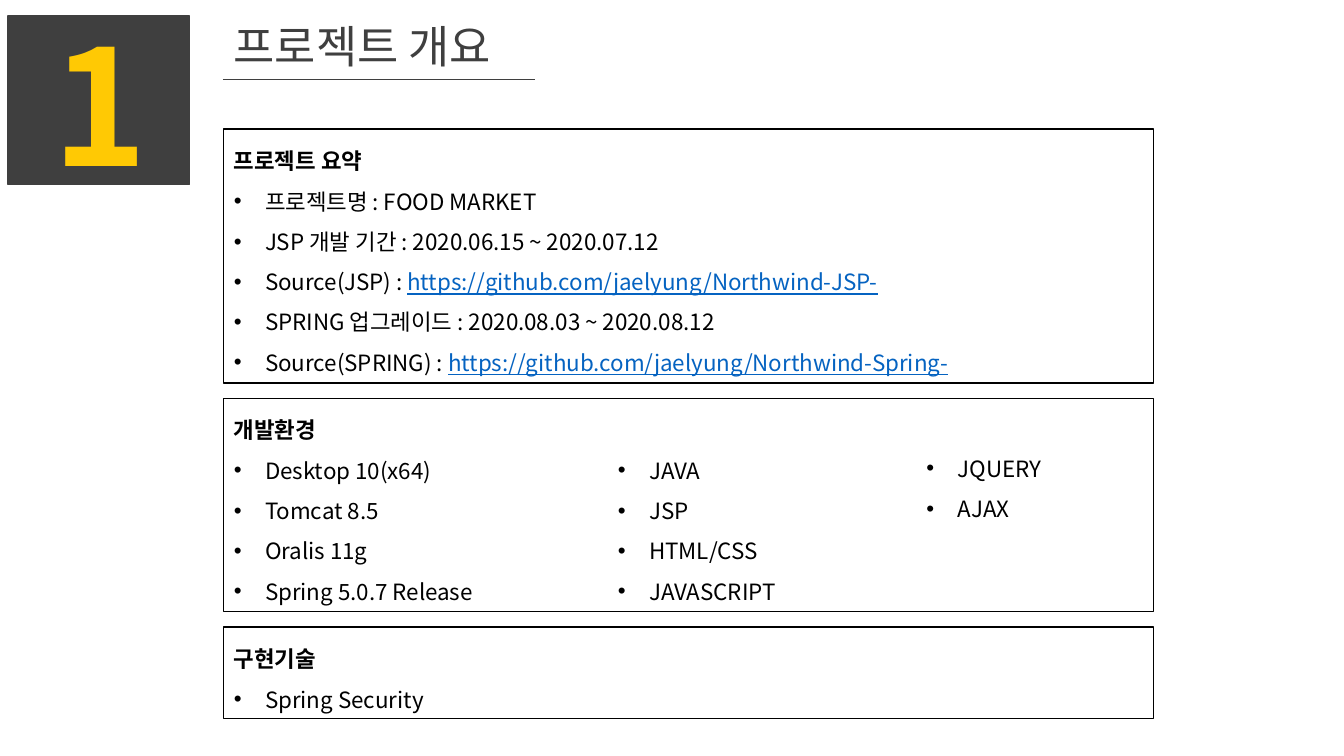
from lxml import etree
from pptx import Presentation
from pptx.dml.color import RGBColor
from pptx.enum.shapes import MSO_CONNECTOR as CONNECTOR, MSO_SHAPE as SHAPE
from pptx.enum.text import MSO_ANCHOR as ANCHOR, PP_ALIGN as ALIGN
from pptx.oxml.ns import qn
from pptx.util import Inches, Pt

FONT = "Noto Sans CJK KR"
BLACK, DARK, YELLOW, LINK = "000000", "3F3F3F", "FFC904", "0563C1"
PANEL_LEFT, PANEL_WIDTH = 2.22, 9.22
BULLET_INDENT = 0.31


def rgb(value):
    return RGBColor.from_string(value)


def add_run(paragraph, text, size=16, color=BLACK, bold=False, underline=False):
    run = paragraph.add_run()
    run.text = text
    font = run.font
    font.name, font.size = FONT, Pt(size)
    font.bold, font.underline = bold, underline
    font.color.rgb = rgb(color)
    for tag in ("a:ea", "a:cs"):
        etree.SubElement(run._r.get_or_add_rPr(), qn(tag)).set("typeface", FONT)


def add_bullet(paragraph):
    properties = paragraph._p.get_or_add_pPr()
    properties.set("marL", str(Inches(BULLET_INDENT)))
    properties.set("indent", str(-Inches(BULLET_INDENT)))
    etree.SubElement(properties, qn("a:buFont")).set("typeface", "Arial")
    etree.SubElement(properties, qn("a:buChar")).set("char", "•")


def fill_list(frame, items, heading=None):
    """Write an optional bold heading and bullets; an item may be (label, link)."""
    frame.word_wrap = True
    frame.vertical_anchor = ANCHOR.TOP
    lines = ([heading] if heading else []) + items
    for index, line in enumerate(lines):
        paragraph = frame.add_paragraph() if index else frame.paragraphs[0]
        paragraph.alignment = ALIGN.LEFT
        paragraph.line_spacing = 1.5
        if heading and index == 0:
            add_run(paragraph, heading, bold=True)
            continue
        add_bullet(paragraph)
        label, link = line if isinstance(line, tuple) else (line, None)
        add_run(paragraph, label)
        if link:
            add_run(paragraph, link, color=LINK, underline=True)


def add_box(slide, left, top, width, height, line, weight, fill=None):
    box = slide.shapes.add_shape(
        SHAPE.RECTANGLE, Inches(left), Inches(top), Inches(width), Inches(height))
    box.shadow.inherit = False
    if fill:
        box.fill.solid()
        box.fill.fore_color.rgb = rgb(fill)
    else:
        box.fill.background()
    box.line.color.rgb = rgb(line)
    box.line.width = Pt(weight)
    return box


def add_panel(slide, top, height, heading, items):
    panel = add_box(slide, PANEL_LEFT, top, PANEL_WIDTH, height, BLACK, 0.75)
    fill_list(panel.text_frame, items, heading)


def add_text_frame(slide, left, top, width, height):
    return slide.shapes.add_textbox(
        Inches(left), Inches(top), Inches(width), Inches(height)).text_frame


def add_label(slide, left, top, width, height, text, **style):
    frame = add_text_frame(slide, left, top, width, height)
    frame.word_wrap = False
    add_run(frame.paragraphs[0], text, **style)


def add_rule(slide, left, right, y, weight):
    rule = slide.shapes.add_connector(
        CONNECTOR.STRAIGHT, Inches(left), Inches(y), Inches(right), Inches(y))
    rule.line.color.rgb = rgb(DARK)
    rule.line.width = Pt(weight)
    etree.SubElement(rule._element.spPr, qn("a:effectLst"))


def main():
    deck = Presentation()
    deck.slide_width, deck.slide_height = Inches(13.33), Inches(7.5)
    slide = deck.slides.add_slide(deck.slide_layouts[6])

    add_panel(slide, 1.28, 2.52, "프로젝트 요약", [
        "프로젝트명 : FOOD MARKET",
        "JSP 개발 기간 : 2020.06.15 ~ 2020.07.12",
        ("Source(JSP) : ", "https://github.com/jaelyung/Northwind-JSP-"),
        "SPRING 업그레이드 : 2020.08.03 ~ 2020.08.12",
        ("Source(SPRING) : ", "https://github.com/jaelyung/Northwind-Spring-"),
    ])
    add_panel(slide, 6.22, 0.91, "구현기술", ["Spring Security"])
    add_panel(slide, 3.95, 2.12, "개발환경", [
        "Desktop 10(x64)", "Tomcat 8.5", "Oralis 11g", "Spring 5.0.7 Release"])
    fill_list(add_text_frame(slide, 6.03, 4.35, 1.84, 1.66),
              ["JAVA", "JSP", "HTML/CSS", "JAVASCRIPT"])
    fill_list(add_text_frame(slide, 9.09, 4.33, 1.84, 0.86), ["JQUERY", "AJAX"])

    add_label(slide, 2.22, 0.14, 3.05, 0.64, "프로젝트 개요", size=32, color=DARK)
    add_box(slide, 0.08, 0.16, 1.8, 1.67, DARK, 1, fill=DARK)
    add_label(slide, 0.42, 0.01, 1.14, 2.04, "1", size=115, color=YELLOW, bold=True)
    add_rule(slide, 0.08, 1.86, 1.82, 2.25)
    add_rule(slide, 2.21, 5.31, 0.79, 1)

    deck.save("out.pptx")


if __name__ == "__main__":
    main()
